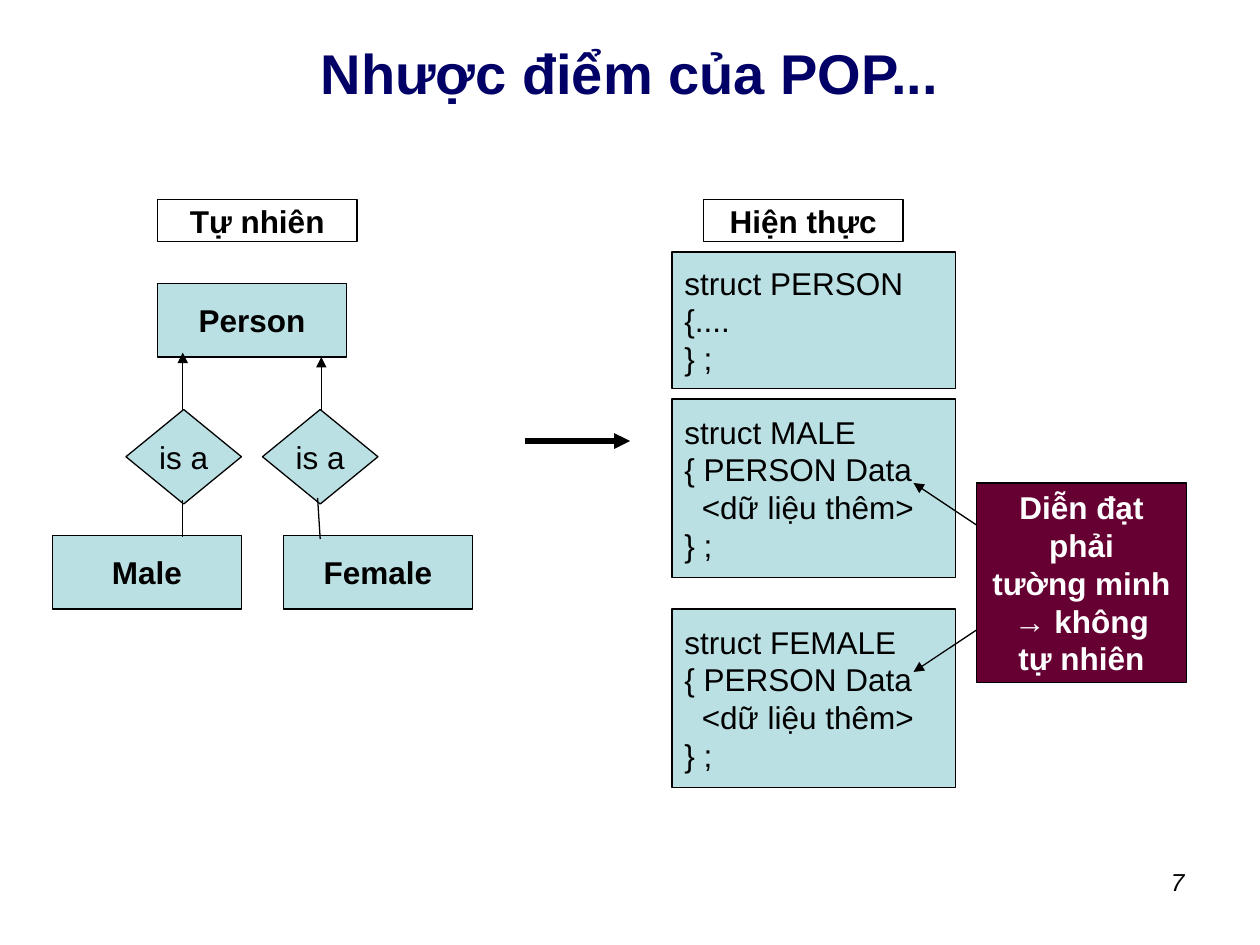
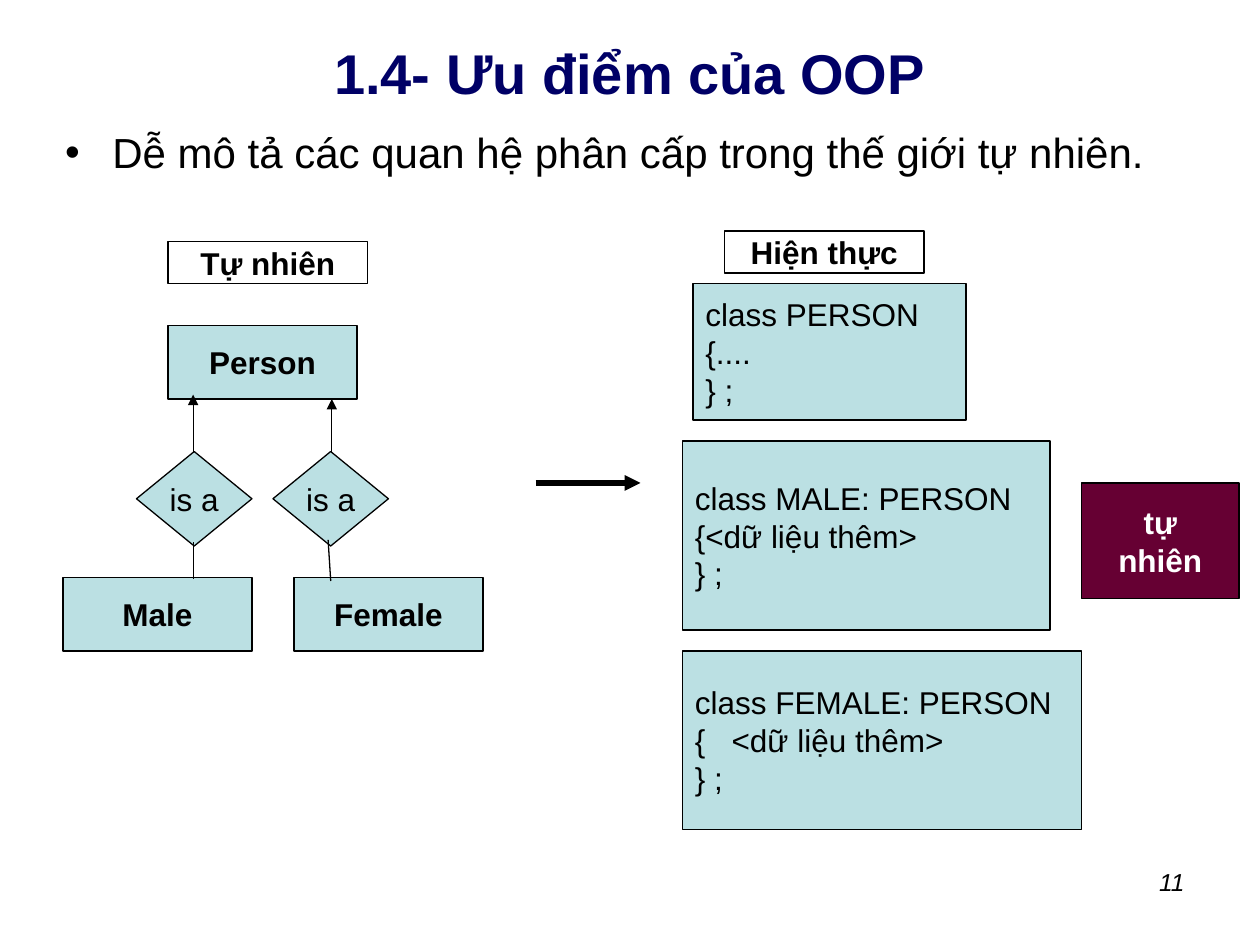
from lxml import etree
from pptx import Presentation
from pptx.dml.color import RGBColor
from pptx.enum import shapes, text
from pptx.oxml import ns
from pptx.util import Pt

COLORS = {
    "title": "000066",
    "ink": "000000",
    "box": "BBE0E3",
    "callout": "660033",
    "paper": "FFFFFF",
}
FONT = "Arial"
ALIGN = text.PP_ALIGN
RECTANGLE = shapes.MSO_SHAPE.RECTANGLE
DIAMOND = shapes.MSO_SHAPE.DIAMOND


def rgb(name):
    """Return the named colour."""
    return RGBColor.from_string(COLORS[name])


def write(shape, content, size=18, color="ink", bold=False, italic=False,
          align=ALIGN.CENTER, anchor=text.MSO_ANCHOR.MIDDLE, wrap=False):
    """Fill a shape with one paragraph per line of the content."""
    frame = shape.text_frame
    frame.text = content
    frame.auto_size = text.MSO_AUTO_SIZE.NONE
    frame.word_wrap = wrap
    frame.vertical_anchor = anchor
    for paragraph in frame.paragraphs:
        paragraph.alignment = align
        paragraph.space_before = Pt(0)
        for run in paragraph.runs:
            run.font.name = FONT
            run.font.size = Pt(size)
            run.font.bold = bold
            run.font.italic = italic
            run.font.color.rgb = rgb(color)


def place(shape, box):
    """Move a placeholder to a box given in points."""
    shape.left, shape.top, shape.width, shape.height = map(Pt, box)


def add_box(slide, box, content, kind=RECTANGLE, fill="box", **text_format):
    """Add an outlined preset shape with text."""
    shape = slide.shapes.add_shape(kind, *map(Pt, box))
    shape.shadow.inherit = False
    if fill:
        shape.fill.solid()
        shape.fill.fore_color.rgb = rgb(fill)
    else:
        shape.fill.background()
    shape.line.color.rgb = rgb("ink")
    shape.line.width = Pt(0.75)
    write(shape, content, **text_format)


def add_line(slide, start, end, width=0.75, arrow=True):
    """Add a straight line, with an arrowhead at its end if wanted."""
    line = slide.shapes.add_connector(
        shapes.MSO_CONNECTOR.STRAIGHT, *map(Pt, (*start, *end)))
    line.line.color.rgb = rgb("ink")
    line.line.width = Pt(width)
    properties = line._element.spPr
    if arrow:
        etree.SubElement(line.line._get_or_add_ln(), ns.qn("a:tailEnd"), type="triangle")
    etree.SubElement(properties, ns.qn("a:effectLst"))


def add_page(presentation, layout, title, number):
    """Add a slide with its title and page number."""
    slide = presentation.slides.add_slide(presentation.slide_layouts[layout])
    place(slide.shapes.title, (36, 22, 648, 38))
    write(slide.shapes.title, title, size=32, color="title", bold=True, wrap=True)
    footer = slide.shapes.add_textbox(*map(Pt, (516, 492, 168, 37)))
    write(footer, str(number), size=14, italic=True, align=ALIGN.RIGHT,
          anchor=text.MSO_ANCHOR.TOP, wrap=True)
    return slide


def add_bullet(slide, content, box):
    """Put a bulleted sentence in the body placeholder."""
    body = slide.placeholders[1]
    place(body, box)
    write(body, content, size=24, align=ALIGN.LEFT,
          anchor=text.MSO_ANCHOR.TOP, wrap=True)
    paragraph = body.text_frame.paragraphs[0]
    paragraph.line_spacing = 0.9
    properties = paragraph._p.get_or_add_pPr()
    properties.set("marL", str(Pt(27)))
    properties.set("indent", str(-Pt(27)))
    bullet_color = etree.SubElement(properties, ns.qn("a:buClr"))
    etree.SubElement(bullet_color, ns.qn("a:srgbClr"), val=COLORS["ink"])
    etree.SubElement(properties, ns.qn("a:buChar"), char="•")


def add_label(slide, left, top, content):
    """Add an unfilled column heading."""
    add_box(slide, (left, top, 114, 24), content, fill=None, bold=True)


def add_nature(slide, left, top):
    """Draw the is-a tree and the arrow that leads from it to the code."""
    add_label(slide, left + 60, top, "Tự nhiên")
    for x, y, name in ((60, 48, "Person"), (0, 192, "Male"), (132, 192, "Female")):
        add_box(slide, (left + x, top + y, 108, 42), name, bold=True)
    for x in (42, 120):
        add_box(slide, (left + x, top + 120, 66, 54), "is a", kind=DIAMOND)
    for x1, y1, x2, y2, arrow in (
        (74.4, 121, 74.4, 87.5, True),
        (153.6, 121, 153.6, 90, True),
        (74.4, 192.7, 74.4, 172, False),
        (153, 194, 151.5, 170.5, False),
    ):
        add_line(slide, (left + x1, top + y1), (left + x2, top + y2), arrow=arrow)
    add_line(slide, (left + 270, top + 138), (left + 330, top + 138), width=3)


def add_code(slide, left, top, blocks):
    """Stack code boxes, given as offset x, offset y, width, height and code."""
    add_label(slide, left + 18, top, "Hiện thực")
    for x, y, width, height, code in blocks:
        add_box(slide, (left + x, top + y, width, height), code, align=ALIGN.LEFT)


def add_callout(slide, box, content, targets=()):
    """Add a dark remark with arrows, given as start height, end x and end y."""
    left, top = box[:2]
    add_box(slide, box, content, fill="callout", color="paper", bold=True)
    for start, x, y in targets:
        add_line(slide, (left, top + start), (left + x, top + y))


def build_pop_slide(presentation):
    """Build the slide on the drawbacks of POP."""
    slide = add_page(presentation, 5, "Nhược điểm của POP...", 7)
    add_nature(slide, 30, 114)
    struct = "struct {}\n{{ PERSON Data\n  <dữ liệu thêm>\n}} ;"
    add_code(slide, 384, 114, (
        (0, 30, 162, 78, "struct PERSON\n{....\n} ;"),
        (0, 114, 162, 102, struct.format("MALE")),
        (0, 234, 162, 102, struct.format("FEMALE")),
    ))
    add_callout(slide, (558, 276, 120, 114),
                "Diễn đạt\nphải\ntường minh\n→ không\ntự nhiên",
                ((24, -36, 0), (84, -36, 108)))


def build_oop_slide(presentation):
    """Build the slide on the advantages of OOP."""
    slide = add_page(presentation, 1, "1.4- Ưu điểm của OOP", 11)
    add_bullet(slide, "Dễ mô tả các quan hệ phân cấp trong thế giới tự nhiên.",
               (30, 72, 648, 42))
    add_nature(slide, 36, 138)
    add_code(slide, 396, 132, (
        (0, 30, 156, 78, "class PERSON\n{....\n} ;"),
        (-6, 120, 210, 108, "class MALE: PERSON\n{<dữ liệu thêm>\n} ;"),
        (-6, 240, 228, 102, "class FEMALE: PERSON\n{   <dữ liệu thêm>\n} ;"),
    ))
    add_callout(slide, (618, 276, 90, 66), "tự\nnhiên")


def main():
    """Build and save the presentation."""
    presentation = Presentation()
    presentation.slide_width = Pt(720)
    presentation.slide_height = Pt(540)
    build_pop_slide(presentation)
    build_oop_slide(presentation)
    presentation.save("out.pptx")


if __name__ == "__main__":
    main()
